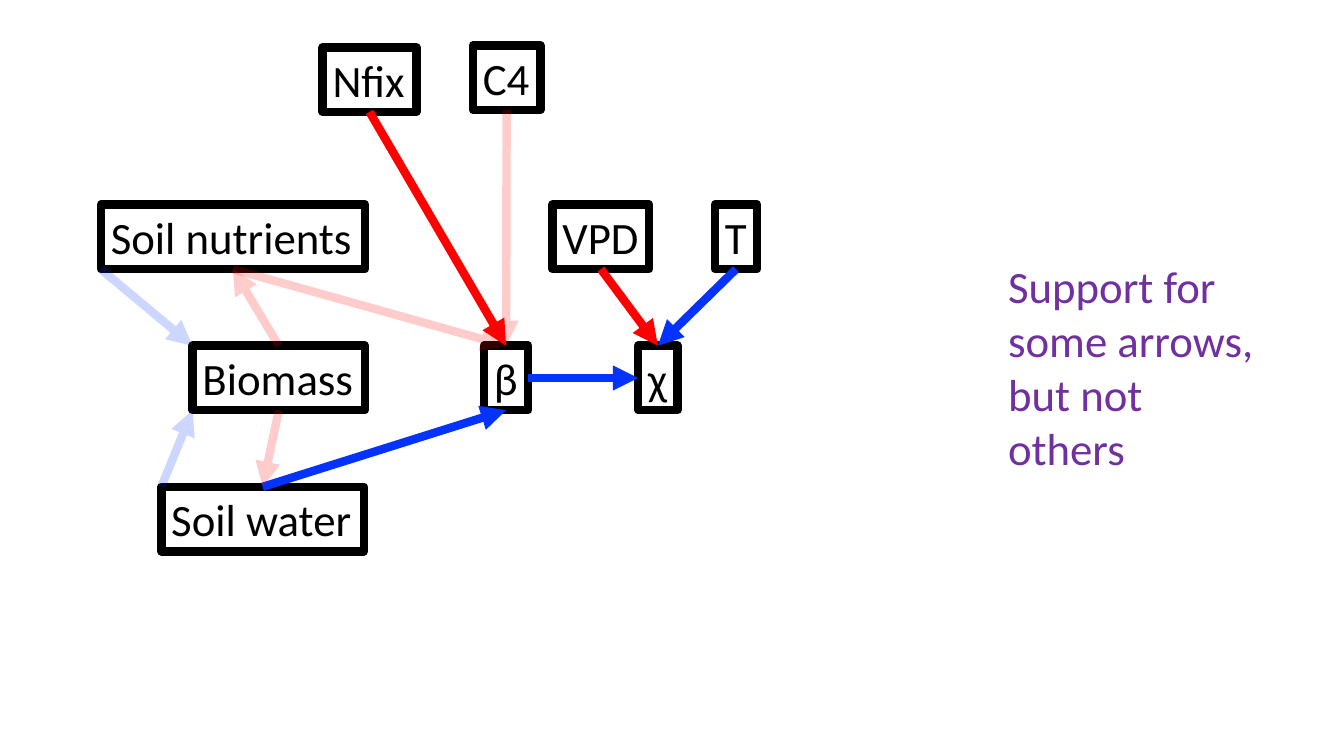
"""Build a path diagram slide linking soil, plant and climate variables to β and χ."""
import lxml.etree
import pptx
import pptx.dml.color
import pptx.enum.shapes
import pptx.enum.text
import pptx.oxml.ns
import pptx.util

Inches = pptx.util.Inches
BLACK, RED, BLUE, PURPLE = "000000", "FF0000", "0432FF", "7030A0"
FONT, FONT_SIZE, LINE_WIDTH = "Calibri", pptx.util.Pt(32), pptx.util.Pt(6)
BOX_HEIGHT = 0.64
FADED_OPACITY = 20

VARIABLES = {
    "Soil nutrients": (1, 2.03, 2.62),
    "β": (4.8, 3.43, 0.44),
    "Soil water": (1.6, 4.83, 2.01),
    "χ": (6.33, 3.43, 0.39),
    "VPD": (5.48, 2.03, 0.96),
    "T": (7.09, 2.03, 0.42),
    "Nfix": (3.2, 0.47, 0.93),
    "C4": (4.69, 0.45, 0.67),
    "Biomass": (1.91, 3.43, 1.71),
}
ARROWS = [
    ("Soil nutrients", "bottom", "β", "top", RED, False),
    ("Soil water", "top", "β", "bottom", BLUE, True),
    ("β", "right", "χ", "left", BLUE, True),
    ("VPD", "bottom", "χ", "top", RED, True),
    ("T", "bottom", "χ", "top", BLUE, True),
    ("Nfix", "bottom", "β", "top", RED, True),
    ("C4", "bottom", "β", "top", RED, False),
    ("Biomass", "top", "Soil nutrients", "bottom", RED, False),
    ("Biomass", "bottom", "Soil water", "top", RED, False),
    ("Soil water", "top left", "Biomass", "bottom left", BLUE, False),
    ("Soil nutrients", "bottom left", "Biomass", "top left", BLUE, False),
]
CONCLUSION = "Support for some arrows, but not others"
CONCLUSION_AREA = (9.9, 2.52, 2.77, 2.26)

ANCHORS = {
    "top": (0.5, 0), "left": (0, 0.5), "bottom": (0.5, 1), "right": (1, 0.5),
    "top left": (0, 0), "bottom left": (0, 1),
}
CONNECTION_SITES = {"top": 0, "left": 1, "bottom": 2, "right": 3}


def color(hex_value):
    return pptx.dml.color.RGBColor.from_string(hex_value)


def add_text(slide, text, area, text_color, wrap):
    shape = slide.shapes.add_textbox(*map(Inches, area))
    frame = shape.text_frame
    frame.text = text
    frame.word_wrap = wrap
    frame.auto_size = pptx.enum.text.MSO_AUTO_SIZE.SHAPE_TO_FIT_TEXT
    font = frame.paragraphs[0].runs[0].font
    font.name, font.size = FONT, FONT_SIZE
    font.color.rgb = color(text_color)
    return shape


def add_variable(slide, name, left, top, width):
    box = add_text(slide, name, (left, top, width, BOX_HEIGHT), BLACK, False)
    box.line.color.rgb = color(BLACK)
    box.line.width = LINE_WIDTH
    return box


def anchor_point(box, anchor):
    across, down = ANCHORS[anchor]
    return int(box.left + across * box.width), int(box.top + down * box.height)


def add_arrow(slide, source, source_anchor, target, target_anchor, line_color, supported):
    arrow = slide.shapes.add_connector(
        pptx.enum.shapes.MSO_CONNECTOR.STRAIGHT,
        *anchor_point(source, source_anchor), *anchor_point(target, target_anchor))
    if source_anchor in CONNECTION_SITES:
        arrow.begin_connect(source, CONNECTION_SITES[source_anchor])
        arrow.end_connect(target, CONNECTION_SITES[target_anchor])
    arrow.line.color.rgb = color(line_color)
    arrow.line.width = LINE_WIDTH
    qualified = pptx.oxml.ns.qn
    properties = arrow._element.spPr
    line = properties.find(qualified("a:ln"))
    if not supported:
        fill_color = line.find(".//" + qualified("a:srgbClr"))
        lxml.etree.SubElement(fill_color, qualified("a:alpha"), val=str(FADED_OPACITY * 1000))
    lxml.etree.SubElement(line, qualified("a:tailEnd"), type="triangle")
    lxml.etree.SubElement(properties, qualified("a:effectLst"))


def main():
    presentation = pptx.Presentation()
    presentation.slide_width, presentation.slide_height = Inches(13.33), Inches(7.5)
    slide = presentation.slides.add_slide(presentation.slide_layouts[6])
    boxes = {name: add_variable(slide, name, *place) for name, place in VARIABLES.items()}
    for source, source_anchor, target, target_anchor, line_color, supported in ARROWS:
        add_arrow(slide, boxes[source], source_anchor, boxes[target], target_anchor,
                  line_color, supported)
    add_text(slide, CONCLUSION, CONCLUSION_AREA, PURPLE, True)
    presentation.save("out.pptx")


if __name__ == "__main__":
    main()
